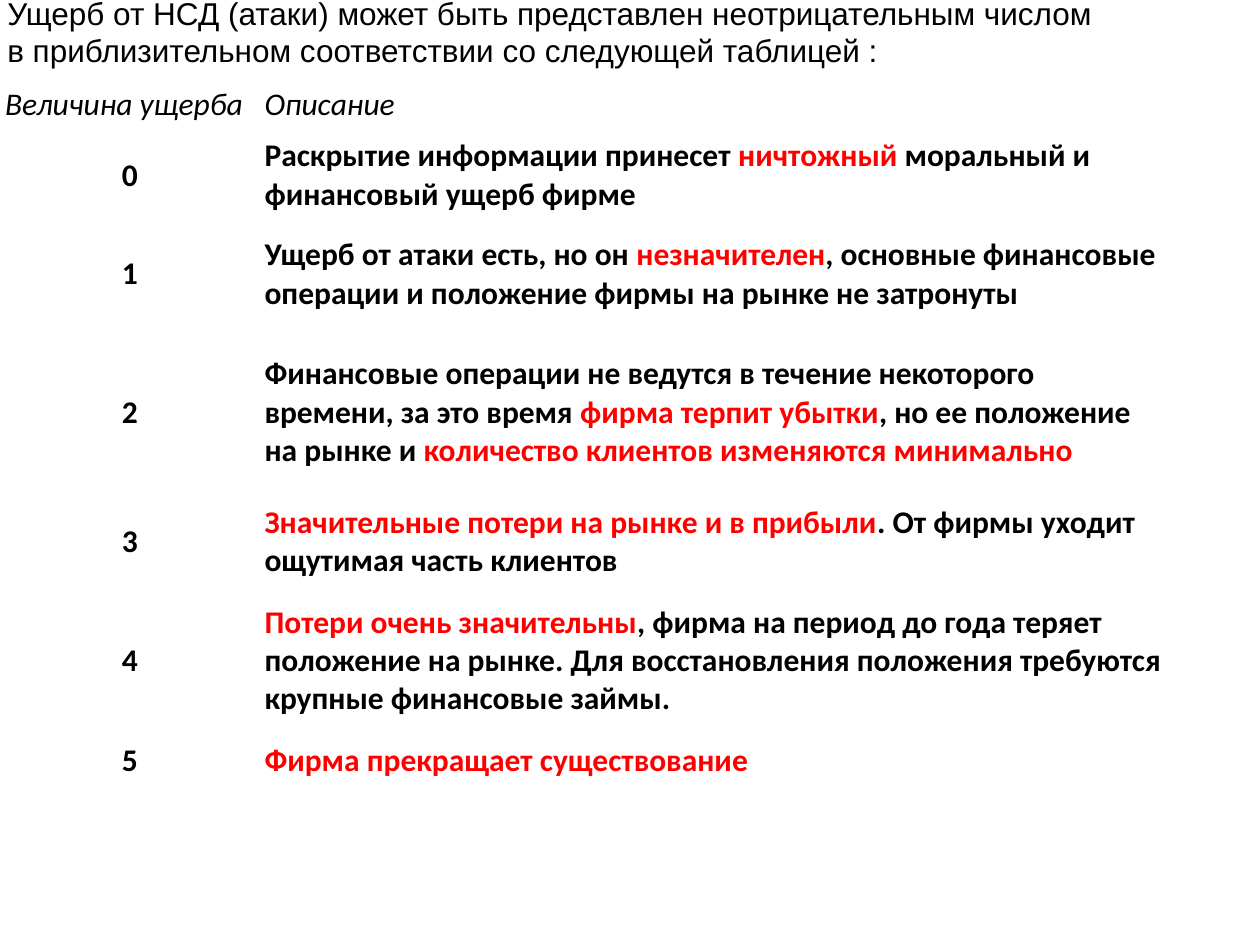
import pptx
import pptx.dml.color
import pptx.enum.text
import pptx.util

Inches = pptx.util.Inches
BLACK = pptx.dml.color.RGBColor(0, 0, 0)
RED = pptx.dml.color.RGBColor(255, 0, 0)
SIZE = pptx.util.Pt(18)
MIDDLE = pptx.enum.text.MSO_ANCHOR.MIDDLE
CENTER = pptx.enum.text.PP_ALIGN.CENTER

SLIDE_W, SLIDE_H = 10, 7.5
INTRO = [
    "Ущерб от НСД (атаки) может быть представлен неотрицательным числом",
    "в приблизительном соответствии со следующей таблицей :",
]
HEADERS = ["Величина ущерба", "Описание"]
LEVELS = [
    [("Раскрытие информации принесет ", BLACK), ("ничтожный", RED),
     (" моральный и финансовый ущерб фирме", BLACK)],
    [("Ущерб от атаки есть, но он ", BLACK), ("незначителен", RED),
     (", основные финансовые операции и положение фирмы на рынке не затронуты", BLACK)],
    [("Финансовые операции не ведутся в течение некоторого времени, за это время ", BLACK),
     ("фирма терпит убытки", RED), (", но ее положение на рынке и ", BLACK),
     ("количество клиентов изменяются минимально", RED)],
    [("Значительные потери на рынке и в прибыли", RED),
     (". От фирмы уходит ощутимая часть клиентов", BLACK)],
    [("Потери очень значительны", RED),
     (", фирма на период до года теряет положение на рынке. "
      "Для восстановления положения требуются крупные финансовые займы.", BLACK)],
    [("Фирма прекращает существование", RED)],
]
COLUMNS = [2.06, 7.24]
ROWS = [0.34, 0.7, 0.86, 1.34, 0.69, 1.18, 0.37]


def add_run(p, text, font, color=BLACK, bold=False, italic=False):
    r = p.add_run()
    r.text = text
    r.font.name = font
    r.font.size = SIZE
    r.font.bold = bold
    r.font.italic = italic
    r.font.color.rgb = color


def add_intro(slide, left, top, width, height):
    sp = slide.shapes.add_textbox(Inches(left), Inches(top), Inches(width), Inches(height))
    tf = sp.text_frame
    tf.word_wrap = False
    tf.auto_size = pptx.enum.text.MSO_AUTO_SIZE.SHAPE_TO_FIT_TEXT
    tf.vertical_anchor = MIDDLE
    for i, line in enumerate(INTRO):
        p = tf.add_paragraph() if i else tf.paragraphs[0]
        add_run(p, line, "Arial")


def fill_cell(cell, parts, bold=False, italic=False, align=None):
    cell.fill.background()
    cell.vertical_anchor = MIDDLE
    cell.margin_left = cell.margin_right = Inches(0.04)
    cell.margin_top = cell.margin_bottom = Inches(0.05)
    p = cell.text_frame.paragraphs[0]
    p.alignment = align
    for text, color in parts:
        add_run(p, text, "Calibri", color, bold, italic)


def add_damage_table(slide, left, top, width, height):
    table = slide.shapes.add_table(
        len(ROWS), len(COLUMNS),
        Inches(left), Inches(top), Inches(width), Inches(height)).table
    table.first_row = False
    table.horz_banding = False
    for column, share in zip(table.columns, COLUMNS):
        column.width = Inches(width * share / sum(COLUMNS))
    for row, share in zip(table.rows, ROWS):
        row.height = Inches(height * share / sum(ROWS))
    for i, header in enumerate(HEADERS):
        fill_cell(table.cell(0, i), [(header, BLACK)], italic=True)
    for level, parts in enumerate(LEVELS):
        fill_cell(table.cell(level + 1, 0), [(str(level), BLACK)], bold=True, align=CENTER)
        fill_cell(table.cell(level + 1, 1), parts, bold=True)


def main():
    prs = pptx.Presentation()
    prs.slide_width = Inches(SLIDE_W)
    prs.slide_height = Inches(SLIDE_H)
    slide = prs.slides.add_slide(prs.slide_layouts[6])
    add_damage_table(slide, 0, 0.63, 0.93 * SLIDE_W, 0.73 * SLIDE_H)
    add_intro(slide, -0.04, -0.1, 8.96, 0.7)
    prs.save("out.pptx")


if __name__ == "__main__":
    main()
